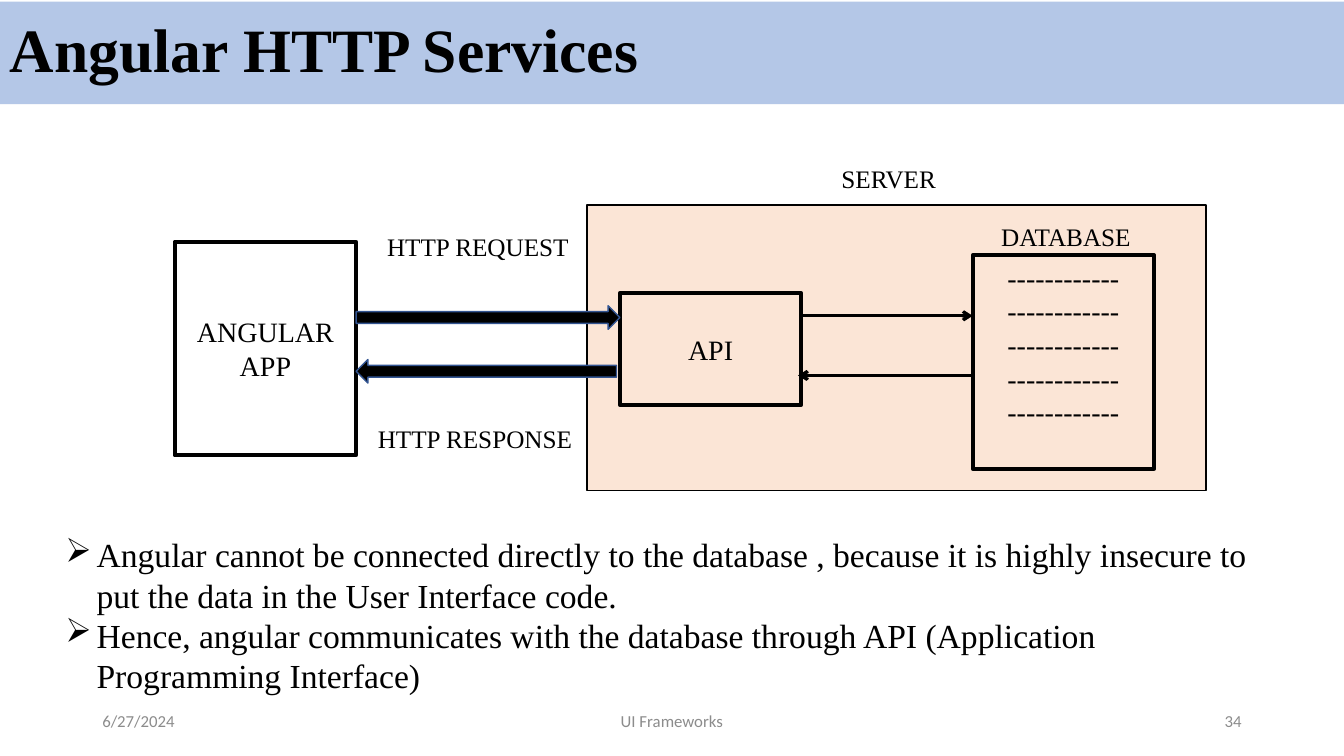
from dataclasses import dataclass

from lxml import etree
from pptx import Presentation
from pptx import util as u
from pptx.dml.color import RGBColor
from pptx.enum import shapes, text
from pptx.oxml import ns


@dataclass(frozen=True)
class Theme:
    serif: str = "Times New Roman"
    sans: str = "Calibri"
    ink: str = "000000"
    banner: str = "B4C7E7"
    server: str = "FBE5D6"
    arrow_edge: str = "325491"
    muted: str = "8C8C8C"
    title: int = 44
    body: int = 24
    node: int = 20
    label: int = 18
    footer: int = 12


THEME = Theme()
COLUMNS, ROWS = 160, 90  # square grid cells, twelve to the inch
CELL = u.Inches(1) // 12
KIND = shapes.MSO_SHAPE
ALIGN = text.PP_ALIGN
ANCHOR = text.MSO_ANCHOR


def cells(*values):
    return [round(value * CELL) for value in values]


def within(region, left, top, width, height):
    return region[0] + left, region[1] + top, width, height


def write(holder, lines, size, align=ALIGN.LEFT, anchor=ANCHOR.TOP, **font):
    frame = holder.text_frame
    frame.word_wrap = True
    frame.vertical_anchor = anchor
    look = {"name": THEME.serif, "size": u.Pt(size), "bold": False} | font
    color = look.pop("color", THEME.ink)
    for index, line in enumerate(lines):
        paragraph = frame.paragraphs[0] if index == 0 else frame.add_paragraph()
        paragraph.alignment = align
        run = paragraph.add_run()
        run.text = line
        for name, value in look.items():
            setattr(run.font, name, value)
        run.font.color.rgb = RGBColor.from_string(color)
    return frame


def add_label(slide, box, lines, size, **look):
    return write(slide.shapes.add_textbox(*cells(*box)), lines, size, **look)


def add_block(slide, box, kind=KIND.RECTANGLE, fill=None, edge=None, weight=1):
    block = slide.shapes.add_shape(kind, *cells(*box))
    block.shadow.inherit = False
    if fill:
        block.fill.solid()
        block.fill.fore_color.rgb = RGBColor.from_string(fill)
    else:
        block.fill.background()
    if edge:
        block.line.color.rgb = RGBColor.from_string(edge)
        block.line.width = u.Pt(weight)
    else:
        block.line.fill.background()
    return block


def add_link(slide, start, end):
    link = slide.shapes.add_connector(shapes.MSO_CONNECTOR.STRAIGHT, *cells(*start, *end))
    link.line.color.rgb = RGBColor.from_string(THEME.ink)
    link.line.width = u.Pt(2.25)
    properties = link.line._get_or_add_ln()
    etree.SubElement(properties, ns.qn("a:tailEnd"), type="arrow")
    etree.SubElement(link._element.spPr, ns.qn("a:effectLst"))


def build_title(slide, region):
    banner = add_block(slide, region, fill=THEME.banner)
    frame = write(banner, ["Angular HTTP Services"], THEME.title,
                  anchor=ANCHOR.MIDDLE, bold=True)
    frame.paragraphs[0].line_spacing = 0.9


def build_diagram(slide, region):
    # Server area behind its parts
    add_block(slide, within(region, 49.1, 5.6, 73.7, 34), fill=THEME.server, edge=THEME.ink)

    # App, API and database
    dashes = ["-" * 12] * 5
    nodes = [
        ((0, 10, 21.6, 25.4), ["ANGULAR APP"], ANCHOR.MIDDLE),
        ((53, 16.1, 21.6, 13.3), ["API"], ANCHOR.MIDDLE),
        ((95, 11.6, 21.6, 25.4), dashes, ANCHOR.TOP),
    ]
    for box, lines, anchor in nodes:
        node = add_block(slide, within(region, *box), edge=THEME.ink, weight=3)
        write(node, lines, THEME.node, align=ALIGN.CENTER, anchor=anchor)

    # Captions
    captions = [
        ("SERVER", 71.3, 0, 27.4),
        ("DATABASE", 95.8, 7, 20.6),
        ("HTTP REQUEST", 23.6, 8.2, 25),
        ("HTTP RESPONSE", 22.9, 31, 25.7),
    ]
    for caption, left, top, width in captions:
        add_label(slide, within(region, left, top, width, 4.8), [caption],
                  THEME.label, align=ALIGN.CENTER)

    # Request and response between app and API
    for top, width, turn in ((17.6, 31.4, 0), (24, 31, 180)):
        arrow = add_block(slide, within(region, 21.6, top, width, 2.8),
                          KIND.RIGHT_ARROW, THEME.ink, THEME.arrow_edge)
        arrow.rotation = turn

    # Query and result between API and database
    for start, end, row in ((74.6, 95, 18.8), (95, 74.2, 25.9)):
        left, top = region[:2]
        add_link(slide, (left + start, top + row), (left + end, top + row))


def build_points(slide, region):
    points = [
        "Angular cannot be connected directly to the database , because it is "
        "highly insecure to put the data in the User Interface code.",
        "Hence, angular communicates with the database through API "
        "(Application Programming Interface)",
    ]
    frame = add_label(slide, region, points, THEME.body)
    indent = u.Inches(0.31)
    for paragraph in frame.paragraphs:
        properties = paragraph._p.get_or_add_pPr()
        for name, value in {"marL": indent, "indent": -indent}.items():
            properties.set(name, str(value))
        etree.SubElement(properties, ns.qn("a:buChar"), char="➢")


def build_footer(slide, region):
    parts = [
        ("6/27/2024", 0, 36, ALIGN.LEFT),
        ("UI Frameworks", 42, 54, ALIGN.CENTER),
        ("34", 102, 36, ALIGN.RIGHT),
    ]
    for words, left, width, align in parts:
        add_label(slide, within(region, left, 0, width, region[3]), [words],
                  THEME.footer, align=align, anchor=ANCHOR.MIDDLE,
                  name=THEME.sans, color=THEME.muted)


def main():
    deck = Presentation()
    deck.slide_width, deck.slide_height = cells(COLUMNS, ROWS)
    slide = deck.slides.add_slide(deck.slide_layouts[6])
    build_title(slide, (0, 0.2, COLUMNS, 12.2))
    build_footer(slide, (11, 83.4, 138, 4.8))
    build_diagram(slide, (20.8, 18.8, 122.8, 39.6))
    build_points(slide, (6.6, 63, 147.7, 20.6))
    deck.save("out.pptx")


if __name__ == "__main__":
    main()
